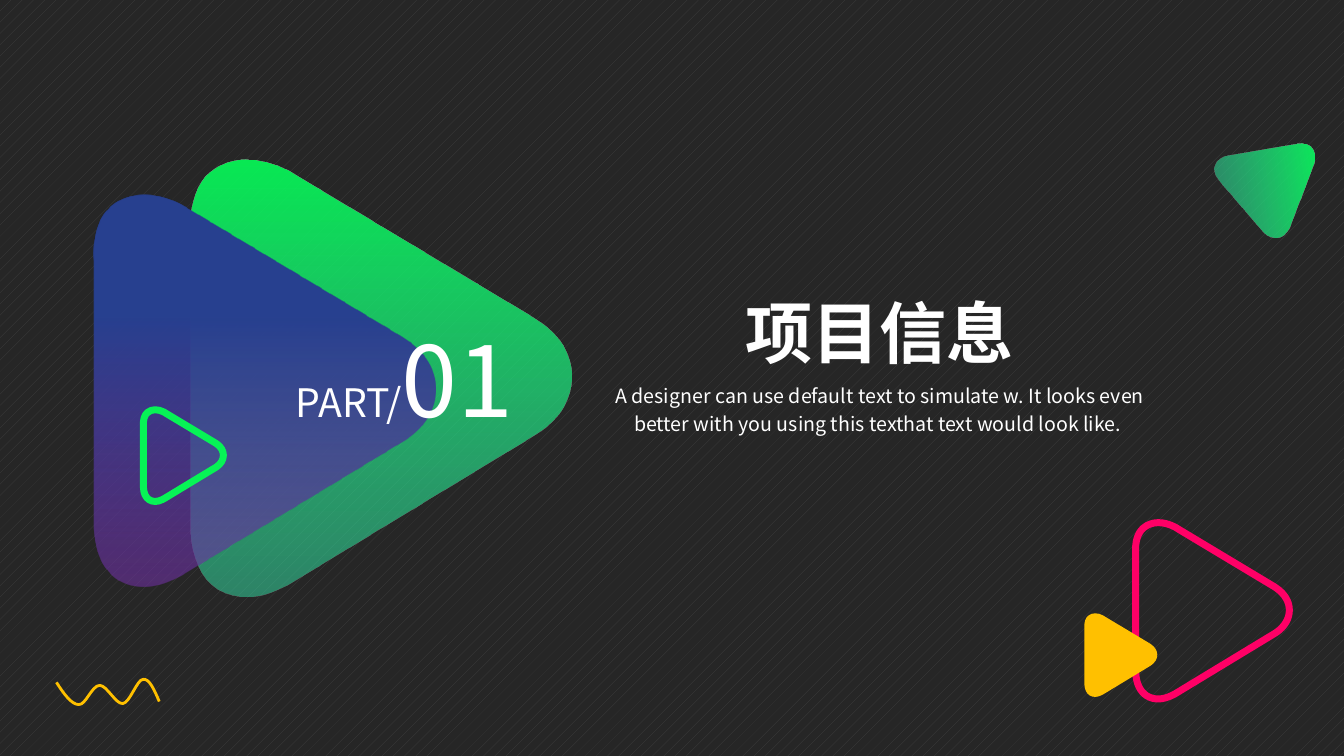
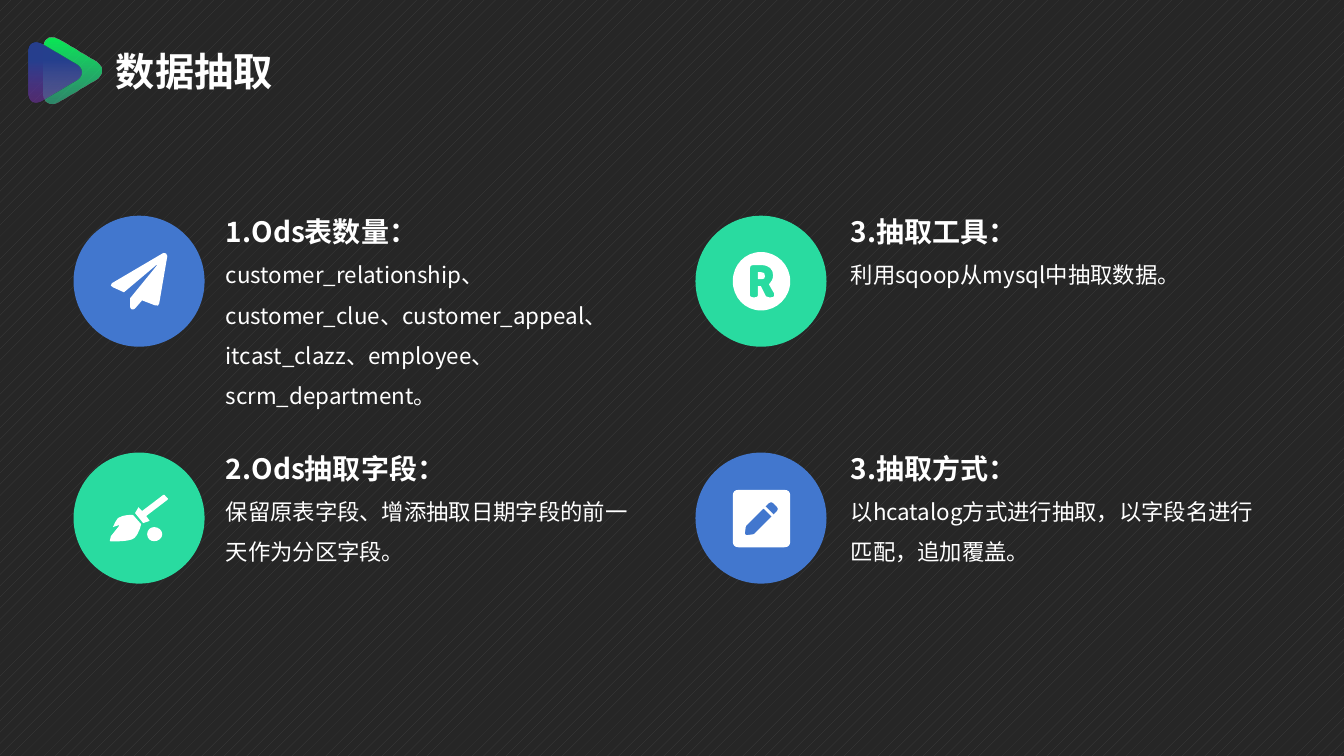
"""Build a section slide and a four-card content slide on a dark patterned theme."""
from lxml.etree import SubElement
from pptx import Presentation
from pptx.dml.color import RGBColor
from pptx.enum.dml import MSO_PATTERN
from pptx.enum.shapes import MSO_SHAPE
from pptx.enum.text import MSO_ANCHOR, MSO_AUTO_SIZE, PP_ALIGN
from pptx.oxml import parse_xml
from pptx.oxml.ns import nsdecls, qn
from pptx.util import Inches, Pt

FONT = "Noto Sans CJK SC"
WHITE = RGBColor(0xFF, 0xFF, 0xFF)
DARK = RGBColor(0x26, 0x26, 0x26)
PATTERN_GRAY = RGBColor(0x40, 0x40, 0x40)
PINK = RGBColor(0xFF, 0x00, 0x66)
YELLOW = RGBColor(0xFF, 0xC0, 0x00)
LIME = RGBColor(0x07, 0xF3, 0x56)
BLUE = RGBColor(0x42, 0x77, 0xCE)
MINT = RGBColor(0x29, 0xDB, 0xA0)

GREEN_GRADIENT = ((0, RGBColor(0x07, 0xF7, 0x57), 94), (1, RGBColor(0x36, 0xDE, 0xA6), 51))
PURPLE_GRADIENT = ((0.31, RGBColor(0x27, 0x40, 0x8F), 100), (1, RGBColor(0x70, 0x30, 0xA0), 58))

TRIANGLE_WIDTH, TRIANGLE_HEIGHT = 3.78, 4.34
TRIANGLE = (
    "M 378 215 C 378 237 366 256 346 270 L 343 272 L 97 421 L 89 425 "
    "C 67 436 45 437 27 426 C 10 415 1 394 0 369 L 0 74 C -2 49 4 26 19 13 "
    "C 39 -4 68 -4 97 11 L 105 16 L 340 157 L 346 161 C 366 175 378 194 378 215"
)
SQUIGGLE = (
    "M 0 3 C 7 14 15 25 22 25 C 29 26 35 6 43 6 C 50 6 59 25 66 24 "
    "C 73 23 80 0 86 0 C 92 -1 97 10 102 22"
)
PLANE = (
    "M 89 37 L 38 67 C 36 68 37 71 39 71 L 50 76 L 82 49 C 82 48 83 49 83 49 L 56 82 "
    "L 56 90 C 56 93 59 94 61 92 L 68 84 L 81 89 C 83 90 85 89 85 87 L 93 40 C 93 38 91 36 89 37"
)
BROOM = (
    "M 59 62 L 67 71 C 67 71 65 81 60 85 C 55 89 36 88 36 88 C 36 88 36 86 37 83 L 45 73 "
    "C 46 73 45 72 45 72 L 39 74 C 41 70 42 67 44 65 C 50 61 59 62 59 62 "
    "M 80 74 C 76 74 73 77 73 81 C 73 85 76 88 80 88 C 84 88 88 85 88 81 C 88 77 84 74 80 74 "
    "M 93 45 L 91 43 C 91 42 90 42 89 42 L 68 58 L 65 55 C 65 54 64 54 64 55 L 61 60 "
    "L 69 70 L 75 68 C 75 68 76 67 75 67 L 72 63 L 93 47 C 94 46 94 46 93 45"
)
LETTER = (
    "M 69 60 C 69 62 68 63 66 63 L 62 63 L 62 56 L 65 56 C 68 56 69 57 69 60 "
    "M 94 65 C 94 81 81 94 65 94 C 49 94 37 81 37 65 C 37 49 49 36 65 36 C 81 36 94 49 94 65 "
    "M 78 77 C 72 67 73 68 73 68 C 75 66 77 63 77 59 C 77 53 73 49 65 49 L 57 49 "
    "C 55 49 54 50 54 52 L 54 79 C 54 80 55 81 57 81 L 59 81 C 61 81 62 80 62 79 "
    "L 62 70 L 65 70 L 70 80 C 71 81 72 81 73 81 L 75 81 C 78 81 79 79 78 77"
)
PENCIL = (
    "M 88 94 L 43 94 C 39 94 37 92 37 88 L 37 43 C 37 39 39 37 43 37 L 88 37 "
    "C 92 37 94 39 94 43 L 94 88 C 94 92 92 94 88 94 "
    "M 67 56 L 50 73 L 49 80 C 49 81 50 82 51 82 L 58 81 L 75 64 C 76 63 76 63 75 63 "
    "L 68 56 C 68 55 68 55 67 56 "
    "M 81 54 L 77 50 C 76 49 74 49 73 50 L 70 53 C 69 53 69 54 70 54 L 77 61 "
    "C 77 62 78 62 78 61 L 81 58 C 82 57 82 55 81 54"
)

SECTION_TITLE = "项目信息"
SECTION_SUMMARY = (
    "A designer can use default text to simulate w. It looks even better "
    "with you using this texthat text would look like. "
)
CONTENT_TITLE = "数据抽取"
COLUMNS = ((0.73, 2.24), (6.9, 8.44))
ROWS = (2.14, 4.49)
CARDS = (
    (0, 0, BLUE, PLANE, 1.72, "1.Ods表数量：",
     "customer_relationship、customer_clue、customer_appeal、itcast_clazz、employee、scrm_department。"),
    (1, 0, MINT, LETTER, 0.91, "3.抽取工具：", "利用sqoop从mysql中抽取数据。"),
    (0, 1, MINT, BROOM, 1.31, "2.Ods抽取字段：",
     "保留原表字段、增添抽取日期字段的前一天作为分区字段。"),
    (1, 1, BLUE, PENCIL, 1.31, "3.抽取方式：",
     "以hcatalog方式进行抽取，以字段名进行匹配，追加覆盖。"),
)


def curve_segments(shape, outline):
    segments = list(shape._element.spPr.iter(qn("a:lnTo")))
    for command in (token for token in outline.split() if token in "LC"):
        first = segments.pop(0)
        if command == "L":
            continue
        curve = parse_xml(f"<a:cubicBezTo {nsdecls('a')}/>")
        first.addprevious(curve)
        for segment in (first, segments.pop(0), segments.pop(0)):
            curve.append(segment[0])
            segment.getparent().remove(segment)


def add_outline(slide, outline, left, top, scale=1, fill=None, line=None, width=0, closed=True):
    builder = None
    for contour in outline.split("M")[1:]:
        numbers = [int(token) for token in contour.split() if token not in "LC"]
        points = [
            (Inches(left + x * scale / 100), Inches(top + y * scale / 100))
            for x, y in zip(numbers[::2], numbers[1::2])
        ]
        if builder is None:
            builder = slide.shapes.build_freeform(*points[0], scale=1.0)
        else:
            builder.move_to(*points[0])
        builder.add_line_segments(points[1:], close=closed)
    shape = builder.convert_to_shape()
    curve_segments(shape, outline)
    paint(shape, fill, line, width)
    return shape


def paint(shape, fill=None, line=None, width=0):
    shape.shadow.inherit = False
    if fill is None:
        shape.fill.background()
    elif isinstance(fill, RGBColor):
        shape.fill.solid()
        shape.fill.fore_color.rgb = fill
    else:
        shape.fill.gradient()
        shape.fill.gradient_angle = 270
        for stop, (position, color, _) in zip(shape.fill.gradient_stops, fill):
            stop.position = position
            stop.color.rgb = color
        for element, (_, _, opacity) in zip(shape._element.spPr.iter(qn("a:srgbClr")), fill):
            SubElement(element, qn("a:alpha")).set("val", str(opacity * 1000))
    if line is None:
        shape.line.fill.background()
    else:
        shape.line.color.rgb = line
        shape.line.width = Pt(width)


def add_triangle(slide, center_x, center_y, height, rotation=0, **style):
    scale = height / TRIANGLE_HEIGHT
    left = center_x - TRIANGLE_WIDTH * scale / 2
    shape = add_outline(slide, TRIANGLE, left, center_y - height / 2, scale, **style)
    shape.rotation = rotation


def add_run(paragraph, text, size, bold=False):
    run = paragraph.add_run()
    run.text = text
    run.font.name = FONT
    run.font.size = Pt(size)
    run.font.bold = bold
    run.font.color.rgb = WHITE
    SubElement(run.font._element, qn("a:ea")).set("typeface", FONT)


def add_text(slide, box, paragraphs, align=PP_ALIGN.LEFT, spacing=None, inset=True):
    frame = slide.shapes.add_textbox(*map(Inches, box)).text_frame
    frame.word_wrap = True
    frame.auto_size = MSO_AUTO_SIZE.SHAPE_TO_FIT_TEXT
    if not inset:
        frame.margin_left = frame.margin_right = frame.margin_top = frame.margin_bottom = 0
    for index, runs in enumerate(paragraphs):
        paragraph = frame.paragraphs[0] if index == 0 else frame.add_paragraph()
        paragraph.alignment = align
        if spacing:
            paragraph.line_spacing = spacing
        for run in runs:
            add_run(paragraph, *run)


def add_titled_slide(presentation, title, box, size, align):
    slide = presentation.slides.add_slide(presentation.slide_layouts[5])
    shape = slide.shapes.title
    shape.left, shape.top, shape.width, shape.height = map(Inches, box)
    frame = shape.text_frame
    frame.word_wrap = True
    frame.auto_size = MSO_AUTO_SIZE.NONE
    frame.vertical_anchor = MSO_ANCHOR.TOP
    frame.paragraphs[0].alignment = align
    add_run(frame.paragraphs[0], title, size, True)
    return slide


def build_section(presentation):
    slide = add_titled_slide(
        presentation, SECTION_TITLE, (6.52, 2.84, 4.41, 0.91), 48, PP_ALIGN.CENTER)
    add_triangle(slide, 12.03, 6.06, 1.75, line=PINK, width=5)
    add_triangle(slide, 11.12, 6.5, 0.83, fill=YELLOW)
    add_triangle(slide, 3.78, 3.75, 4.34, fill=GREEN_GRADIENT)
    add_triangle(slide, 2.63, 3.88, 3.89, fill=PURPLE_GRADIENT)
    add_text(slide, (1.9, 3.09, 3.29, 1.31), [[("PART/", 28), ("01", 72)]], PP_ALIGN.RIGHT)
    add_triangle(slide, 1.82, 4.52, 0.91, line=LIME, width=5)
    add_triangle(slide, 12.6, 1.92, 1, rotation=80.3, fill=GREEN_GRADIENT)
    add_outline(slide, SQUIGGLE, 0.56, 6.74, line=YELLOW, width=2, closed=False)
    add_text(slide, (5.79, 3.71, 5.88, 0.67), [[(SECTION_SUMMARY, 14)]], PP_ALIGN.CENTER, 1.2)


def build_content(presentation):
    slide = add_titled_slide(
        presentation, CONTENT_TITLE, (1.05, 0.42, 2.88, 0.57), 28, PP_ALIGN.LEFT)
    add_triangle(slide, 0.72, 0.7, 0.66, fill=GREEN_GRADIENT)
    add_triangle(slide, 0.55, 0.72, 0.6, fill=PURPLE_GRADIENT)
    for column, row, color, icon, height, heading, body in CARDS:
        circle_left, text_left = COLUMNS[column]
        top = ROWS[row]
        circle = slide.shapes.add_shape(
            MSO_SHAPE.OVAL, Inches(circle_left), Inches(top), Inches(1.3), Inches(1.3))
        paint(circle, color)
        add_outline(slide, icon, circle_left, top, fill=WHITE)
        add_text(slide, (text_left, top - 0.18, 4.17, height),
                 [[(heading, 20, True)], [(body, 16)]], spacing=1.5, inset=False)


def main():
    presentation = Presentation()
    presentation.slide_width, presentation.slide_height = Inches(40) // 3, Inches(7.5)
    background = presentation.slide_master.background.fill
    background.patterned()
    background.pattern = MSO_PATTERN.PERCENT_10
    background.fore_color.rgb = PATTERN_GRAY
    background.back_color.rgb = DARK
    build_section(presentation)
    build_content(presentation)
    presentation.save("out.pptx")


if __name__ == "__main__":
    main()
